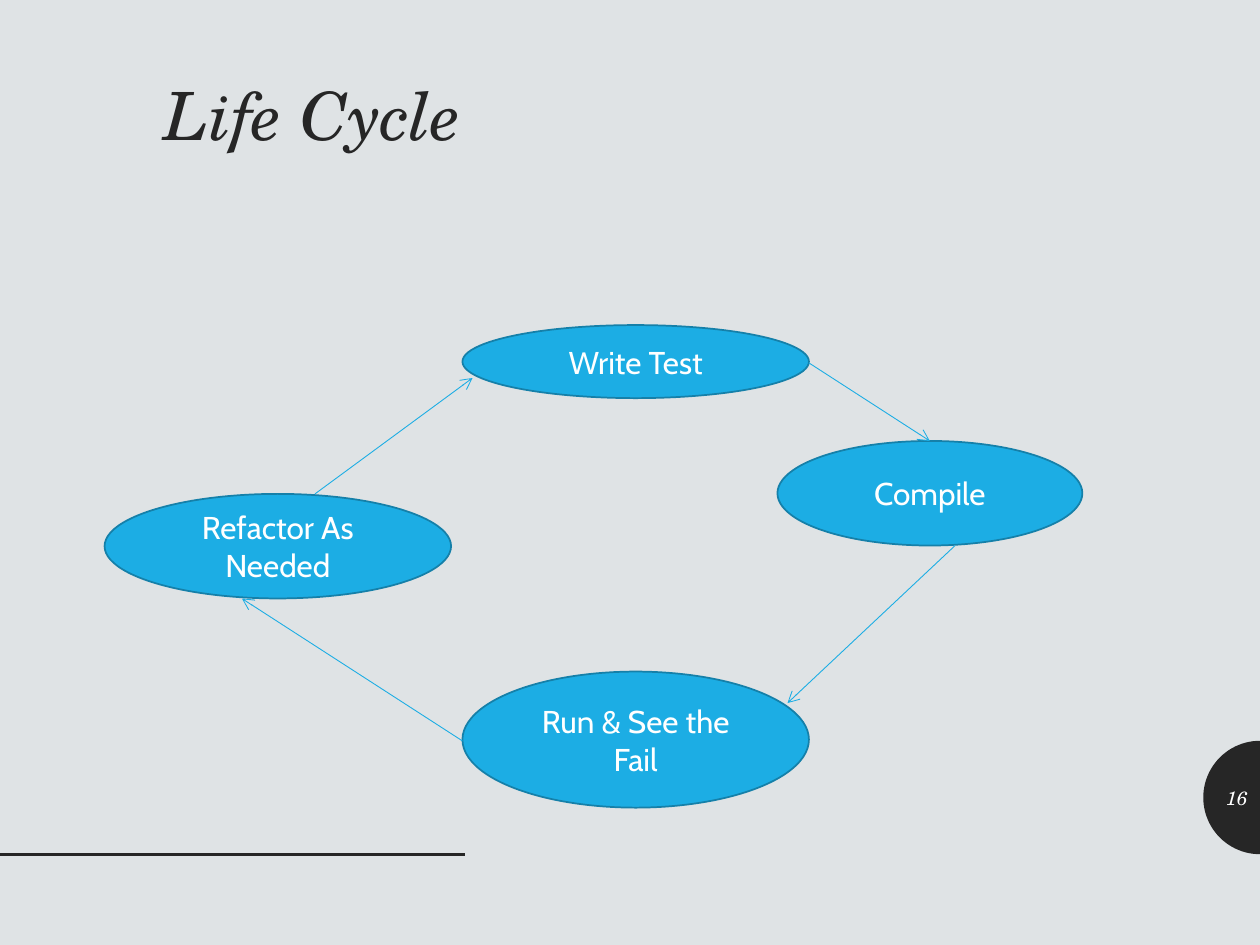
import math
from dataclasses import dataclass

from lxml import etree
from pptx import Presentation
from pptx import util as u
from pptx.dml.color import RGBColor
from pptx.enum import shapes, text
from pptx.oxml import ns


@dataclass(frozen=True)
class Theme:
    background: str = "DFE3E5"
    dark: str = "262626"
    accent: str = "1CADE4"
    outline: str = "1580A9"
    light: str = "FFFFFF"
    heading_font: str = "TeX Gyre Schola"
    body_font: str = "Cabin"
    title_size: float = 38
    step_size: float = 18
    number_size: float = 11


class SlideBuilder:
    def __init__(self, slide, theme):
        self.slide = slide
        self.theme = theme
        fill = slide.background.fill
        fill.solid()
        fill.fore_color.rgb = RGBColor.from_string(theme.background)

    def add_words(self, shape, words, size, font, color, align, anchor, italic=False):
        frame = shape.text_frame
        frame.word_wrap = True
        frame.vertical_anchor = anchor
        paragraph = frame.paragraphs[0]
        paragraph.alignment = align
        run = paragraph.add_run()
        run.text = words
        run.font.size = u.Pt(size)
        run.font.name = font
        run.font.italic = italic
        run.font.color.rgb = RGBColor.from_string(color)
        return paragraph

    def heading(self, words, box, size, color, anchor, line_spacing=1.0):
        shape = self.slide.shapes.add_textbox(*map(u.Inches, box))
        shape.text_frame.margin_left = 0
        paragraph = self.add_words(shape, words, size, self.theme.heading_font, color,
                                   text.PP_ALIGN.RIGHT, anchor, italic=True)
        paragraph.line_spacing = line_spacing

    def step(self, words, box):
        shape = self.slide.shapes.add_shape(shapes.MSO_SHAPE.OVAL, *map(u.Inches, box))
        shape.shadow.inherit = False
        shape.fill.solid()
        shape.fill.fore_color.rgb = RGBColor.from_string(self.theme.accent)
        shape.line.color.rgb = RGBColor.from_string(self.theme.outline)
        shape.line.width = u.Pt(1)
        self.add_words(shape, words, self.theme.step_size, self.theme.body_font,
                       self.theme.light, text.PP_ALIGN.CENTER, text.MSO_ANCHOR.MIDDLE)

    def line(self, start, end, color, width, arrow=False):
        connector = self.slide.shapes.add_connector(
            shapes.MSO_CONNECTOR.STRAIGHT, *map(u.Inches, (*start, *end)))
        connector.line.color.rgb = RGBColor.from_string(color)
        connector.line.width = u.Pt(width)
        properties = connector._element.spPr
        if arrow:
            outline = properties.find(ns.qn("a:ln"))
            etree.SubElement(outline, ns.qn("a:tailEnd"), type="arrow")
        etree.SubElement(properties, ns.qn("a:effectLst"))

    def half_disc(self, center_x, center_y, radius, color, segments=48):
        angles = [math.pi * (0.5 + i / segments) for i in range(segments + 1)]
        points = [(u.Inches(center_x + radius * math.cos(angle)),
                   u.Inches(center_y - radius * math.sin(angle))) for angle in angles]
        builder = self.slide.shapes.build_freeform(*points[0])
        builder.add_line_segments(points[1:], close=True)
        shape = builder.convert_to_shape()
        shape.shadow.inherit = False
        shape.fill.solid()
        shape.fill.fore_color.rgb = RGBColor.from_string(color)
        shape.line.fill.background()


def main():
    presentation = Presentation()
    presentation.slide_width = u.Inches(10)
    presentation.slide_height = u.Inches(7.5)
    theme = Theme()
    builder = SlideBuilder(
        presentation.slides.add_slide(presentation.slide_layouts[6]), theme)

    # Page decoration
    builder.half_disc(10, 6.33, 0.45, theme.dark)
    builder.line((0, 6.78), (3.69, 6.78), theme.dark, 2)

    # Title and page number
    builder.heading("Life Cycle", (0.62, 0.61, 3.14, 5.42), theme.title_size,
                    theme.dark, text.MSO_ANCHOR.TOP, line_spacing=0.9)
    builder.heading("16", (9.55, 6.13, 0.45, 0.4), theme.number_size,
                    theme.light, text.MSO_ANCHOR.MIDDLE)

    # Steps of the cycle
    steps = [
        ("Write Test", (3.67, 2.58, 2.75, 0.58)),
        ("Compile", (6.17, 3.5, 2.42, 0.83)),
        ("Run & See the Fail", (3.67, 5.33, 2.75, 1.08)),
        ("Refactor As Needed", (0.83, 3.92, 2.75, 0.83)),
    ]
    for words, box in steps:
        builder.step(words, box)

    # Arrows from each step to the next
    arrows = [
        ((6.42, 2.88), (7.38, 3.5)),
        ((7.58, 4.33), (6.25, 5.58)),
        ((3.67, 5.88), (1.92, 4.75)),
        ((2.5, 3.92), (3.75, 3)),
    ]
    for start, end in arrows:
        builder.line(start, end, theme.accent, 0.5, arrow=True)

    presentation.save("out.pptx")


if __name__ == "__main__":
    main()
